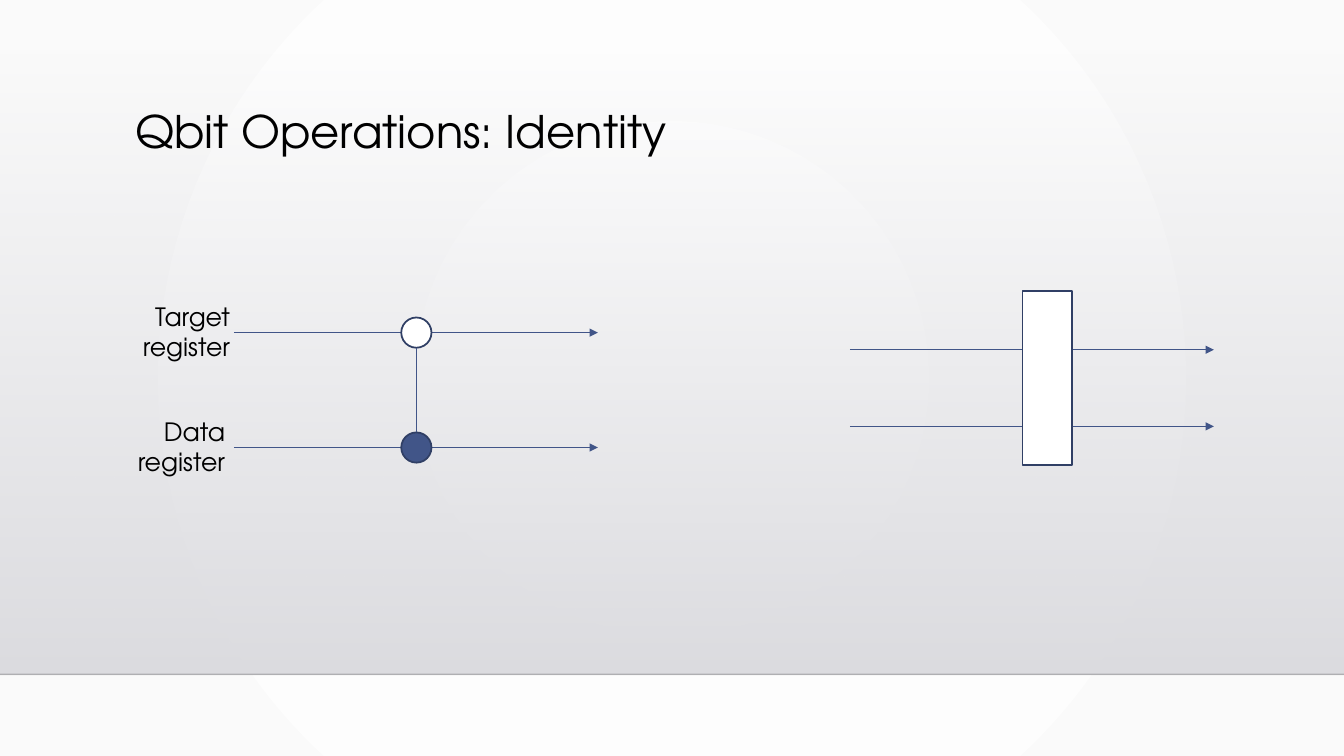
import pptx
import pptx.dml.color
import pptx.enum.shapes
import pptx.enum.text
import pptx.oxml
import pptx.util
import lxml.etree

NS = 'xmlns:a="http://schemas.openxmlformats.org/drawingml/2006/main"'
FONT = "TeX Gyre Adventor"
BLUE, EDGE, WHITE, BLACK = "415588", "303F65", "FFFFFF", "000000"
KIND = pptx.enum.shapes.MSO_SHAPE
inch = pptx.util.Inches
hue = pptx.dml.color.RGBColor.from_string


def wire(home, x1, y1, x2, y2, tone=BLUE, width=0.75, tip=False):
    """Draw a straight line, with an arrowhead at its end if tip is set."""
    line = home.shapes.add_connector(
        pptx.enum.shapes.MSO_CONNECTOR.STRAIGHT, inch(x1), inch(y1), inch(x2), inch(y2))
    line.line.color.rgb = hue(tone)
    line.line.width = pptx.util.Pt(width)
    if tip:
        line.line._get_or_add_ln().append(
            pptx.oxml.parse_xml(f'<a:tailEnd {NS} type="triangle"/>'))
    line._element.spPr.append(pptx.oxml.parse_xml(f"<a:effectLst {NS}/>"))
    return line


def block(home, kind, x, y, w, h, fill):
    shape = home.shapes.add_shape(kind, inch(x), inch(y), inch(w), inch(h))
    shape.shadow.inherit = False
    shape.fill.solid()
    shape.fill.fore_color.rgb = hue(fill)
    shape.line.color.rgb = hue(EDGE)
    shape.line.width = pptx.util.Pt(1.25)
    return shape


deck = pptx.Presentation()
wide, high = 13.33, 7.5
deck.slide_width, deck.slide_height = inch(wide), inch(high)
slide = deck.slides.add_slide(deck.slide_layouts[5])

# Backdrop: radial glow, then a panel that darkens towards its floor
glow = slide.background.fill
glow.gradient()
for stop, tone in zip(glow.gradient_stops, (WHITE, "FAFAFA")):
    stop.color.rgb = hue(tone)
lin = slide._element.find(".//{*}bg//{*}lin")
lin.getparent().replace(lin, pptx.oxml.parse_xml(
    f'<a:path {NS} path="circle"><a:fillToRect l="50000" t="50000" r="50000" b="50000"/></a:path>'))

floor = 6.69
panel = block(slide, KIND.RECTANGLE, 0, 0.51, wide, floor - 0.51, WHITE)
panel.line.fill.background()
panel.fill.gradient()
panel.fill.gradient_angle = 270
for stop, tone in zip(panel.fill.gradient_stops, ("DCDCE0", "DEDEE2")):
    stop.color.rgb = hue(tone)
rule = wire(slide, 0, floor, wide, floor, "000001", 1)
for part, share in ((panel, 0), (rule, 20000)):
    tint = part._element.spPr.find(".//{*}srgbClr")
    tint.append(pptx.oxml.parse_xml(f'<a:alpha {NS} val="{share}"/>'))

# Title, lifted above the backdrop
title = slide.shapes.title
slide.shapes._spTree.append(title._element)
spot = {"left": 1.24, "top": 1.04, "width": 10.5, "height": 1.15}
for name, size in spot.items():
    setattr(title, name, inch(size))
title.text_frame.text = "Qbit Operations: Identity"
title.text_frame.vertical_anchor = pptx.enum.text.MSO_ANCHOR.TOP
head = title.text_frame.paragraphs[0]
head.alignment = pptx.enum.text.PP_ALIGN.LEFT
head.line_spacing = 0.9
look = {"name": FONT, "size": pptx.util.Pt(32)}
for name, value in look.items():
    setattr(head.font, name, value)
head.font.color.rgb = hue(BLACK)

# Identity gate: two wires through one box
span = 3.61
gate = slide.shapes.add_group_shape()
for y in (4.23, 3.47):
    wire(gate, 8.43, y, 8.43 + span, y, tip=True)
block(gate, KIND.RECTANGLE, 10.14, 2.89, 0.49, 1.72, WHITE)

# Register circuit: two labelled wires joined at their nodes
start, node, size = 2.32, 4.13, 0.3
rows = ((4.44, 1.24, "Data", BLUE), (3.3, 1.29, "Target", WHITE))
plan = slide.shapes.add_group_shape()
for y, left, word, fill in rows:
    wire(plan, start, y, start + span, y, tip=True)
    label = plan.shapes.add_textbox(inch(left), inch(y - 0.36), inch(1.09), inch(0.71))
    frame = label.text_frame
    frame.word_wrap = False
    frame.text = f"{word}\nregister"
    for para in frame.paragraphs:
        para.alignment = pptx.enum.text.PP_ALIGN.RIGHT
        para.font.name = FONT
        para.font.size = pptx.util.Pt(18)
        para.font.color.rgb = hue(BLACK)
    block(plan, KIND.OVAL, node - size / 2, y - size / 2, size, size, fill)
wire(plan, node, rows[0][0] - size / 2, node, rows[1][0] + size / 2)

deck.save("out.pptx")
